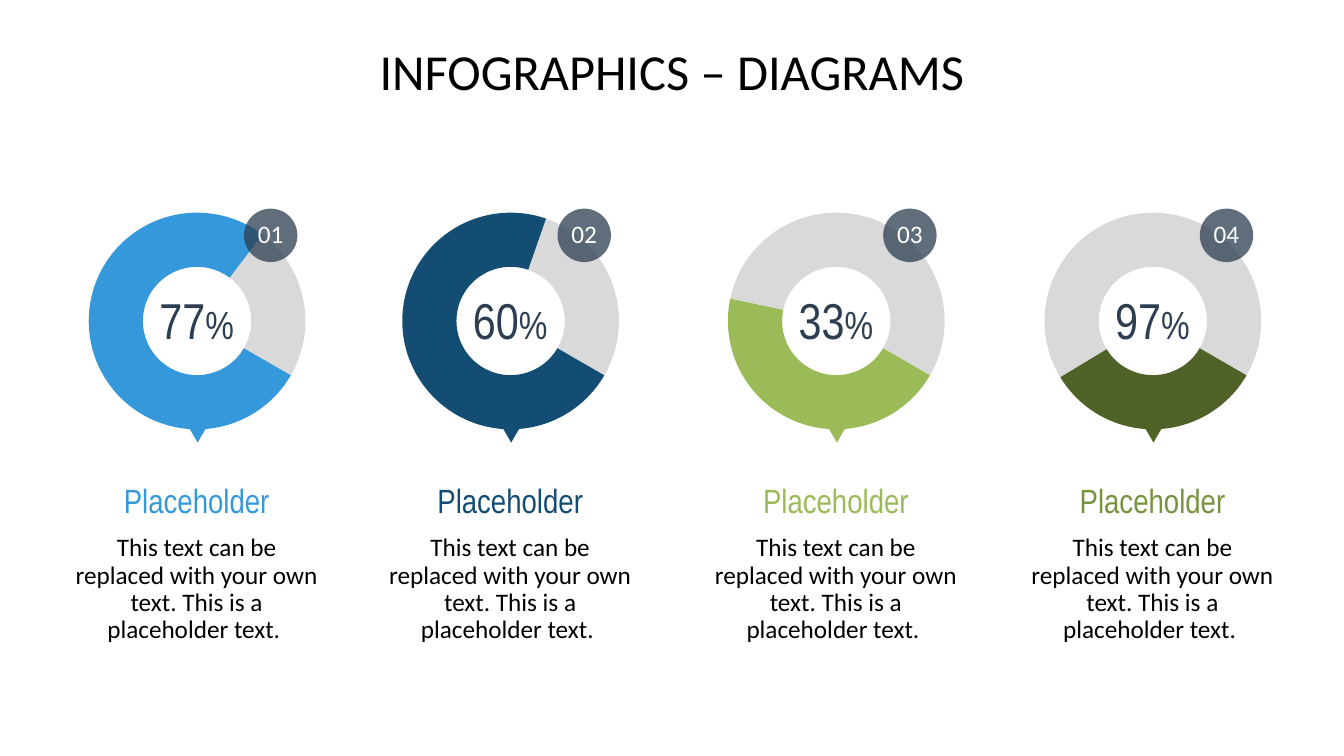
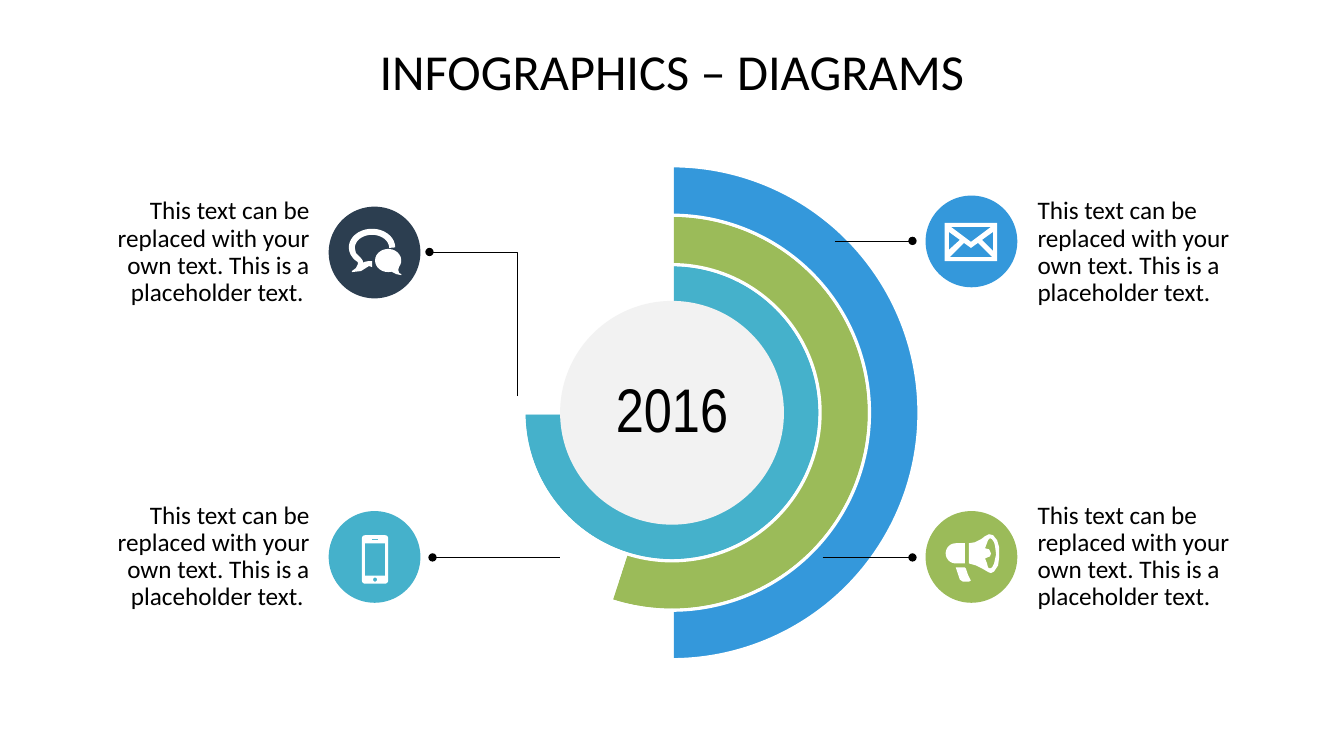
import math
from dataclasses import dataclass

import pptx
import pptx.chart.data
import pptx.dml.color
import pptx.enum.chart
import pptx.enum.shapes
import pptx.enum.text
import pptx.oxml
import pptx.oxml.ns
import pptx.util

Inches = pptx.util.Inches
Align = pptx.enum.text.PP_ALIGN
Anchor = pptx.enum.text.MSO_ANCHOR
Preset = pptx.enum.shapes.MSO_SHAPE
qn = pptx.oxml.ns.qn

SLIDE_WIDTH, SLIDE_HEIGHT = 13.33, 7.5
COLORS = {
    "black": "000000", "white": "FFFFFF", "navy": "2C3E50", "blue": "3498DB",
    "deep": "144D73", "lime": "9BBB59", "olive": "4F6228", "moss": "77933C",
    "teal": "45B1CB", "track": "D9D9D9", "hub": "F2F2F2",
}
BODY_FONT, DISPLAY_FONT = "Calibri", "Arial Narrow"
TITLE = "INFOGRAPHICS – DIAGRAMS"
BODY = "This text can be replaced with your own text. This is a placeholder text."


@dataclass
class Box:
    """A rectangle in inches; inner boxes are placed relative to it."""
    left: float
    top: float
    width: float
    height: float

    def inner(self, left, top, width, height):
        return Box(self.left + left, self.top + top, width, height)

    def centered(self, size):
        return self.inner((self.width - size) / 2, (self.height - size) / 2, size, size)

    def emu(self):
        return [Inches(value) for value in (self.left, self.top, self.width, self.height)]


TITLE_BOX = Box(0.59, 0.47, 12.15, 1.18)


# Shared helpers
def rgb(name):
    return pptx.dml.color.RGBColor.from_string(COLORS[name])


def append_xml(parent, tag, **attributes):
    child = parent.makeelement(qn(tag), attributes)
    parent.append(child)
    return child


def write(shape, paragraphs, align=Align.CENTER, anchor=Anchor.MIDDLE, side=0, after=10):
    """Each paragraph is a list of runs: (text, size, font, color)."""
    frame = shape.text_frame
    frame.word_wrap = True
    frame.auto_size = pptx.enum.text.MSO_AUTO_SIZE.NONE
    frame.vertical_anchor = anchor
    frame.margin_left = frame.margin_right = Inches(side)
    frame.margin_top = frame.margin_bottom = 0
    for index, runs in enumerate(paragraphs):
        paragraph = frame.add_paragraph() if index else frame.paragraphs[0]
        paragraph.alignment = align
        paragraph.line_spacing = 0.9
        paragraph.space_before = pptx.util.Pt(0)
        paragraph.space_after = pptx.util.Pt(after)
        for text, size, font, color in runs:
            run = paragraph.add_run()
            run.text = text
            run.font.size = pptx.util.Pt(size)
            run.font.name = font
            run.font.color.rgb = rgb(color)


def add_text(slide, box, paragraphs, **options):
    write(slide.shapes.add_textbox(*box.emu()), paragraphs, **options)


def paint(shape, color):
    shape.shadow.inherit = False
    shape.fill.solid()
    shape.fill.fore_color.rgb = rgb(color)
    shape.line.fill.background()


def add_preset(slide, preset, box, color):
    shape = slide.shapes.add_shape(preset, *box.emu())
    paint(shape, color)
    return shape


def add_titled_slide(presentation):
    slide = presentation.slides.add_slide(presentation.slide_layouts[5])
    title = slide.shapes.title
    title.left, title.top, title.width, title.height = TITLE_BOX.emu()
    write(title, [[(TITLE, 36, BODY_FONT, "black")]], anchor=Anchor.TOP, after=0)
    return slide


def add_doughnut(slide, box, diameter, rings, hole, start=0, outline=None):
    """Each ring is (values, colors); a color of None leaves the slice empty."""
    data = pptx.chart.data.CategoryChartData()
    data.categories = ["1", "2"]
    for number, (values, _) in enumerate(rings, 1):
        data.add_series(f"Series {number}", values)
    kind = pptx.enum.chart.XL_CHART_TYPE.DOUGHNUT
    chart = slide.shapes.add_chart(kind, *box.emu(), data).chart
    chart.has_legend = chart.has_title = False
    chart.font.size = pptx.util.Pt(18)
    chart.font.name = BODY_FONT
    chart.font.color.rgb = rgb("black")
    plot = chart.plots[0]
    plot.vary_by_categories = True
    for series, (_, colors) in zip(plot.series, rings):
        for index, color in enumerate(colors):
            style = series.points[index].format
            if color:
                style.fill.solid()
                style.fill.fore_color.rgb = rgb(color)
            else:
                style.fill.background()
            if outline:
                style.line.color.rgb = rgb(outline)
                style.line.width = pptx.util.Pt(2.25)
            else:
                style.line.fill.background()

    # Rotation, hole and a centred plot area
    area = chart._chartSpace.find(".//" + qn("c:plotArea"))
    for tag, value in (("c:firstSliceAng", start), ("c:holeSize", hole)):
        area.find(".//" + qn(tag)).set("val", str(value))
    for old in area.findall(qn("c:layout")):
        area.remove(old)
    layout = append_xml(area, "c:layout")
    area.insert(0, layout)
    manual = append_xml(layout, "c:manualLayout")
    width, height = diameter / box.width, diameter / box.height
    for tag, value in (("layoutTarget", "inner"), ("xMode", "edge"), ("yMode", "edge"),
                       ("x", (1 - width) / 2), ("y", (1 - height) / 2),
                       ("w", width), ("h", height)):
        append_xml(manual, "c:" + tag, val=str(value))


# Slide 1: four progress rings
def add_progress(slide, box, number, value, percent, color, heading_color):
    add_doughnut(slide, box.inner(0, 0, 2.97, 2.43), 2.15,
                 [((value, 100 - value), (color, "track"))], hole=75, start=120)
    add_text(slide, box.inner(0.74, 0.44, 1.48, 1.59),
             [[(str(percent), 36, DISPLAY_FONT, "navy"), ("%", 28, DISPLAY_FONT, "navy")]])
    badge = add_preset(slide, Preset.OVAL, box.inner(1.95, 0.1, 0.53, 0.53), "navy")
    append_xml(badge.fill._xPr.find(".//" + qn("a:srgbClr")), "a:alpha", val="75000")
    write(badge, [[(f"{number:02}", 18, BODY_FONT, "white")]])
    pointer = add_preset(slide, Preset.ISOSCELES_TRIANGLE,
                         box.inner(1.35, 2.18, 0.28, 0.24), color)
    pointer.rotation = 180
    add_text(slide, box.inner(0.27, 2.84, 2.42, 1.64),
             [[("Placeholder", 24, DISPLAY_FONT, heading_color)],
              [(BODY + " ", 18, BODY_FONT, "black")]], anchor=Anchor.TOP)


def build_progress_slide(presentation):
    slide = add_titled_slide(presentation)
    columns = [
        (0.47, 77, 77, "blue", "blue"),
        (3.58, 72, 60, "deep", "deep"),
        (6.81, 45, 33, "lime", "lime"),
        (9.95, 33, 97, "olive", "moss"),
    ]
    for number, (left, *details) in enumerate(columns, 1):
        add_progress(slide, Box(left, 1.97, 2.97, 4.48), number, *details)


# Icons: closed contours on a grid of 91 units across the disc
ICON_GRID = 91


def arc(x, y, radius_x, radius_y, start, end, steps=24):
    angles = [math.radians(start + (end - start) * step / steps) for step in range(steps + 1)]
    return [(x + radius_x * math.cos(a), y + radius_y * math.sin(a)) for a in angles]


def rectangle(left, top, right, bottom):
    return [(left, top), (right, top), (right, bottom), (left, bottom)]


ICONS = {
    "envelope": [
        rectangle(19, 27, 71, 65),
        [(38, 47), (24, 61), (66, 61), (52, 47), (45, 52)],
        [(25, 31), (45, 46), (65, 31)],
        [(67, 55), (67, 36), (56, 44)],
        [(34, 44), (23, 36), (23, 54)],
    ],
    "megaphone": [
        [(43, 52), (43, 32), (49, 31), (55, 28), (59, 25), (63, 23), (67, 24), (71, 29),
         (73, 36), (73, 46), (72, 54), (68, 60), (65, 61.5), (63, 61), (56, 57), (50, 54)],
        [(59, 37), (63, 38), (65, 42), (64, 45), (59, 47), (61, 52), (62, 56), (64, 57),
         (66, 56), (68, 52), (70, 43), (69, 35), (68, 31), (66, 28), (64, 27), (62, 29)],
        [(39, 32), (39, 52)] + arc(30, 42, 10, 10, 90, 270),
        [(30, 56), (39, 56), (40, 57), (42, 63), (44, 67), (45, 69), (43, 70),
         (37, 70), (34, 68)],
    ],
    "chat": [
        arc(59, 53.5, 13, 11.5, 75, 395)
        + [(69, 63), (70, 66), (72, 67), (72, 68), (67, 67)],
        [(43, 54), (43, 60), (40, 59), (32, 64), (23, 65), (23, 64), (27, 61), (29, 57)]
        + arc(43, 40.5, 23, 18.5, 128, 360) + arc(43, 41, 17, 13, 360, 180)
        + [(27, 46), (32, 51), (34, 54), (34, 56), (35, 55), (40, 54)],
    ],
    "phone": [
        arc(36, 27, 3, 3, 180, 270, 6) + arc(56, 27, 3, 3, 270, 360, 6)
        + arc(56, 69, 3, 3, 0, 90, 6) + arc(36, 69, 3, 3, 90, 180, 6),
        rectangle(36, 32, 56, 64),
        arc(46, 68, 2, 2, 0, 360),
        rectangle(43, 28, 49, 29),
    ],
}


def add_icon(slide, box, name, color):
    add_preset(slide, Preset.OVAL, box, color)
    unit = Inches(box.width) / ICON_GRID
    contours = [[(x * unit, y * unit) for x, y in contour] for contour in ICONS[name]]
    builder = slide.shapes.build_freeform(*contours[0][0])
    for index, contour in enumerate(contours):
        if index:
            builder.move_to(*contour[0])
        builder.add_line_segments(contour[1:], close=True)
    paint(builder.convert_to_shape(Inches(box.left), Inches(box.top)), "white")


# Slide 2: nested rings with callouts
def add_leader(slide, points):
    """A thin line through the points, with a dot on the last one."""
    points = [(Inches(x), Inches(y)) for x, y in points]
    if len(points) == 2:
        straight = pptx.enum.shapes.MSO_CONNECTOR.STRAIGHT
        leader = slide.shapes.add_connector(straight, *points[0], *points[1])
        append_xml(leader._element.spPr, "a:effectLst")
    else:
        builder = slide.shapes.build_freeform(*points[0])
        builder.add_line_segments(points[1:], close=False)
        leader = builder.convert_to_shape()
        leader.shadow.inherit = False
        leader.fill.background()
    leader.line.color.rgb = rgb("black")
    leader.line.width = pptx.util.Pt(0.5)
    append_xml(leader.line._get_or_add_ln(), "a:tailEnd", type="oval")


def add_callout(slide, box, icon, disc_top, color, on_left):
    """Text and disc side by side, the disc towards the middle of the slide."""
    text_left, disc_left = (0, 2.61) if on_left else (0.91, 0)
    add_icon(slide, box.inner(disc_left, disc_top, 0.91, 0.91), icon, color)
    add_text(slide, box.inner(text_left, 0, 2.62, box.height),
             [[(BODY + " " * on_left, 18, BODY_FONT, "black")]],
             align=Align.RIGHT if on_left else Align.LEFT, side=0.2)


def add_rings(slide, box):
    shares = [(85, "navy"), (75, "teal"), (55, "lime"), (50, "blue")]
    rings = [((share, 100 - share), (color, None)) for share, color in shares]
    add_doughnut(slide, box, 4.9, rings, hole=57, outline="white")
    hub = add_preset(slide, Preset.OVAL, box.centered(2.22), "hub")
    write(hub, [[("2016", 44, DISPLAY_FONT, "black")]])


def build_rings_slide(presentation):
    slide = add_titled_slide(presentation)
    add_rings(slide, Box(3.29, 1.49, 6.75, 5.21))
    left, right, upper, lower = 0.65, 9.18, 1.71, 4.73
    callouts = [
        (right, upper, "envelope", 0.23, "blue", [(8.28, 2.39), (9.05, 2.39)]),
        (right, lower, "megaphone", 0.34, "lime", [(8.16, 5.53), (9.05, 5.53)]),
        (left, upper, "chat", 0.34, "navy", [(5.13, 3.93), (5.13, 2.5), (4.26, 2.5)]),
        (left, lower, "phone", 0.34, "teal", [(5.55, 5.53), (4.29, 5.53)]),
    ]
    for x, y, icon, disc_top, color, leader in callouts:
        add_callout(slide, Box(x, y, 3.53, 1.59), icon, disc_top, color, x == left)
        add_leader(slide, leader)


def main():
    presentation = pptx.Presentation()
    presentation.slide_width = Inches(SLIDE_WIDTH)
    presentation.slide_height = Inches(SLIDE_HEIGHT)
    build_progress_slide(presentation)
    build_rings_slide(presentation)
    presentation.save("out.pptx")


if __name__ == "__main__":
    main()
